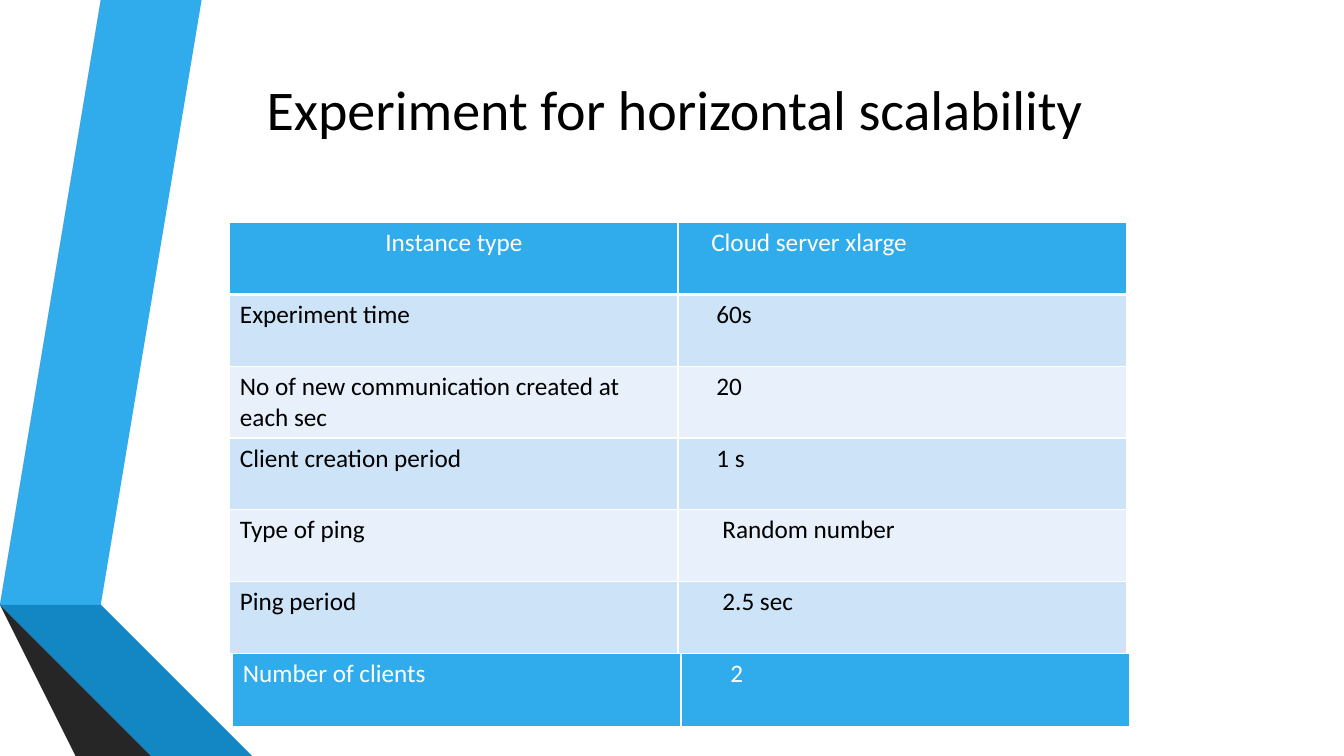
from lxml.etree import SubElement
from pptx import Presentation
from pptx.dml.color import RGBColor as RGB
from pptx.enum.text import MSO_ANCHOR as ANCHOR, PP_ALIGN as ALIGN
from pptx.oxml.ns import qn
from pptx.util import Inches, Pt

COLORS = {
    "white": "FFFFFF", "black": "000000", "sky": "30ACEC", "blue": "1287C3",
    "navy": "0C5A82", "gray": "595959", "dark": "404040", "coal": "262626",
    "band": "CDE3F8", "pale": "E8F1FB",
}
TITLE = "Experiment for horizontal scalability"
SETTINGS = [
    ("Instance type", "Cloud server xlarge", 0.33),
    ("Experiment time", "60s", 0.38),
    ("No of new communication created at each sec", "20", 0.38),
    ("Client creation period", "1 s", 0.38),
    ("Type of ping", "Random number", 0.44),
    ("Ping period", "2.5 sec", 0.44),
]
CLIENTS = [("Number of clients", "2", 0.49)]
RIBBONS = [
    ("sky", [(0.5, 5.78), (0.77, 5.83), (1.73, 0), (1.45, 0)]),
    ("gray", [(1.39, 0), (1.11, 0), (0.16, 5.73), (0.44, 5.77)]),
    ("coal", [(0.16, 5.73), (1.45, 7.5), (1.51, 7.5)]),
    ("navy", [(0.5, 5.79), (2.08, 7.5), (2.14, 7.5)]),
    ("blue", [(0.5, 5.78), (0.5, 5.79), (2.14, 7.5), (2.83, 7.5), (0.77, 5.83)]),
    ("dark", [(2.02, 7.5), (0.48, 5.83), (0.44, 5.77), (0.16, 5.73), (1.51, 7.5)]),
]
TABLE_WIDTH = 8.89


def color(name):
    return RGB.from_string(COLORS[name])


def write(tf, text, size, name, align):
    p = tf.paragraphs[0]
    p.alignment = align
    r = p.add_run()
    r.text = text
    font = {"name": "Calibri", "size": Pt(size), "bold": False}
    for key, value in font.items():
        setattr(r.font, key, value)
    r.font.color.rgb = color(name)


def add_ribbon(slide, name, points):
    builder = slide.shapes.build_freeform(*points[0], scale=Inches(1))
    builder.add_line_segments(points[1:], close=True)
    sp = builder.convert_to_shape()
    sp.shadow.inherit = False
    sp.fill.solid()
    sp.fill.fore_color.rgb = color(name)
    sp.line.fill.background()


def add_borders(cell, bottom):
    tc_pr = cell._tc.get_or_add_tcPr()
    for side, width in (("L", 1), ("R", 1), ("T", 1), ("B", bottom)):
        ln = SubElement(tc_pr, qn(f"a:ln{side}"), w=str(Pt(width)))
        fill = SubElement(ln, qn("a:solidFill"))
        SubElement(fill, qn("a:srgbClr"), val=COLORS["white"])


def add_settings(slide, rows, left, top, row_height, header_align):
    height = row_height * len(rows)
    frame = slide.shapes.add_table(len(rows), 2, Inches(left), Inches(top),
                                   Inches(TABLE_WIDTH), Inches(height))
    for i, (label, value, indent) in enumerate(rows):
        header = i == 0
        fill = "sky" if header else ("pale", "band")[i % 2]
        for j, text in enumerate((label, value)):
            cell = frame.table.cell(i, j)
            add_borders(cell, 3 if header and len(rows) > 1 else 1)
            cell.fill.solid()
            cell.fill.fore_color.rgb = color(fill)
            if j == 1:
                cell.margin_left = Inches(indent)
            write(cell.text_frame, text, 18, "white" if header else "black",
                  header_align if header and j == 0 else ALIGN.LEFT)


def main():
    prs = Presentation()
    prs.slide_width, prs.slide_height = Inches(13.33), Inches(7.5)
    slide = prs.slides.add_slide(prs.slide_layouts[5])

    for name, points in RIBBONS:
        add_ribbon(slide, name, points)

    title = slide.shapes.title
    box = {"left": 1.59, "top": 0.28, "width": 10.2, "height": 1.58}
    for key, value in box.items():
        setattr(title, key, Inches(value))
    title.text_frame.vertical_anchor = ANCHOR.MIDDLE
    write(title.text_frame, TITLE, 40, "black", ALIGN.CENTER)

    add_settings(slide, SETTINGS, 2.28, 2.21, 0.712, ALIGN.CENTER)
    add_settings(slide, CLIENTS, 2.31, 6.48, 0.73, ALIGN.LEFT)
    prs.save("out.pptx")


if __name__ == "__main__":
    main()
